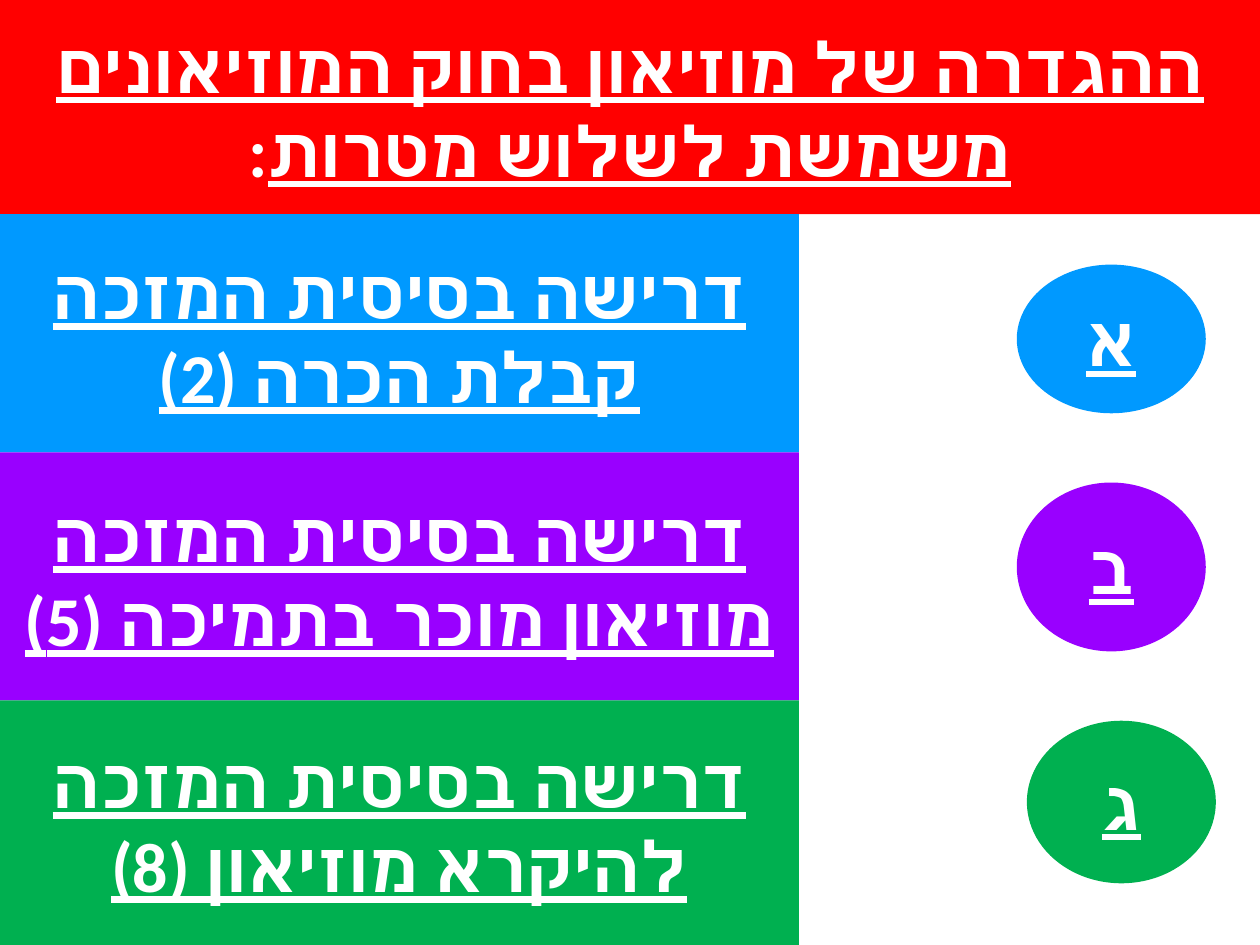
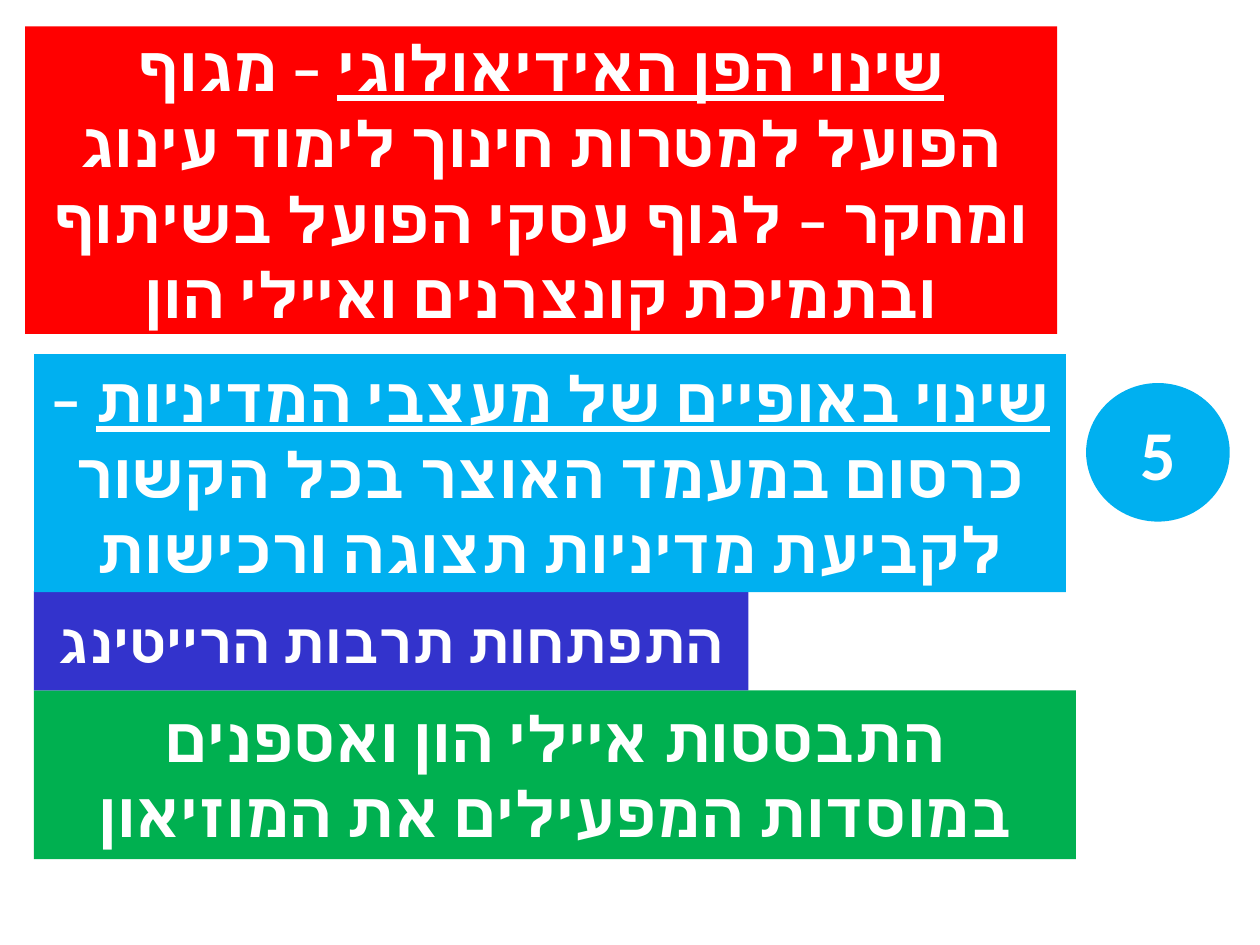
from dataclasses import dataclass

from lxml import etree
from pptx import Presentation
from pptx.dml.color import RGBColor
from pptx.enum.shapes import MSO_SHAPE
from pptx.enum.text import MSO_ANCHOR, PP_ALIGN
from pptx.oxml.ns import qn
from pptx.util import Inches, Pt

RECTANGLE, OVAL = MSO_SHAPE.RECTANGLE, MSO_SHAPE.OVAL
CENTER, MIDDLE = PP_ALIGN.CENTER, MSO_ANCHOR.MIDDLE


@dataclass(frozen=True)
class Theme:
    font: str = "Calibri"
    white: str = "FFFFFF"
    red: str = "FF0000"
    azure: str = "0099FF"
    purple: str = "9900FF"
    green: str = "00B050"
    sky: str = "00B0F0"
    indigo: str = "3333CC"
    large: int = 40
    medium: int = 36
    small: int = 32


theme = Theme()
deck = Presentation()
deck.slide_width, deck.slide_height = Inches(10), Inches(7.5)
COLUMN, ROW = deck.slide_width / 10, deck.slide_height / 7.5
BLANK = deck.slide_layouts[6]


def add_block(slide, outline, place, color, size, underlined="", plain=""):
    """Add a filled shape with right-to-left text; place is in columns and rows."""
    left, top, width, height = place
    block = slide.shapes.add_shape(outline, round(left * COLUMN), round(top * ROW),
                                   round(width * COLUMN), round(height * ROW))
    block.shadow.inherit = False
    block.fill.solid()
    block.fill.fore_color.rgb = RGBColor.from_string(color)
    block.line.fill.background()
    frame = block.text_frame
    frame.word_wrap = True
    frame.vertical_anchor = MIDDLE
    paragraph = frame.paragraphs[0]
    paragraph.alignment = CENTER
    paragraph._p.get_or_add_pPr().set("rtl", "1")
    paragraph.font.size = Pt(size)
    paragraph.font.bold = True
    paragraph.font.name = theme.font
    paragraph.font.color.rgb = RGBColor.from_string(theme.white)
    for text, underline in ((underlined, True), (plain, False)):
        if text:
            run = paragraph.add_run()
            run.text = text
            run.font.underline = underline
            run.font.name = theme.font
            hebrew_font = etree.SubElement(run.font._element, qn("a:cs"))
            hebrew_font.set("typeface", theme.font)


# Slide 1: the three purposes of the definition
purposes_slide = deck.slides.add_slide(BLANK)
title_height = 1.7
add_block(purposes_slide, RECTANGLE, (0, 0, 10, title_height), theme.red, theme.large,
          "ההגדרה של מוזיאון בחוק המוזיאונים משמשת לשלוש מטרות", ":")

# letter, purpose, colour, band height, badge left, badge top, badge height
purposes = [
    ("א", "דרישה בסיסית המזכה קבלת הכרה (2)", theme.azure, 1.89, 8.07, 2.1, 1.18),
    ("ב", "דרישה בסיסית המזכה מוזיאון מוכר בתמיכה (5)", theme.purple, 1.97, 8.07, 3.83, 1.34),
    ("ג", "דרישה בסיסית המזכה להיקרא מוזיאון (8)", theme.green, 1.94, 8.15, 5.72, 1.29),
]
band_top = title_height
for letter, purpose, color, band_height, badge_left, badge_top, badge_height in purposes:
    add_block(purposes_slide, RECTANGLE, (0, band_top, 6.34, band_height),
              color, theme.large, purpose)
    add_block(purposes_slide, OVAL, (badge_left, badge_top, 1.5, badge_height),
              color, theme.large, letter)
    band_top += band_height

# Slide 2: the changes, with the number of the point beside them
changes_slide = deck.slides.add_slide(BLANK)
margin = 0.27
changes = [
    ((0.2, 0.21, 8.19, 2.44), theme.red, theme.medium, "שינוי הפן האידיאולוגי",
     " – מגוף הפועל למטרות חינוך לימוד עינוג ומחקר – לגוף עסקי הפועל בשיתוף ובתמיכת קונצרנים ואיילי הון"),
    ((margin, 5.48, 8.27, 1.34), theme.green, theme.medium, "",
     "התבססות איילי הון ואספנים במוסדות המפעילים את המוזיאון"),
    ((margin, 4.69, 5.67, 0.79), theme.indigo, theme.small, "", "התפתחות תרבות הרייטינג"),
    ((margin, 2.81, 8.19, 1.89), theme.sky, theme.medium, "שינוי באופיים של מעצבי המדיניות",
     " –כרסום במעמד האוצר בכל הקשור לקביעת מדיניות תצוגה ורכישות"),
]
for place, color, size, heading, detail in changes:
    add_block(changes_slide, RECTANGLE, place, color, size, heading, detail)
add_block(changes_slide, OVAL, (8.62, 3.04, 1.14, 1.1), theme.sky, theme.large, plain="5")

deck.save("out.pptx")
